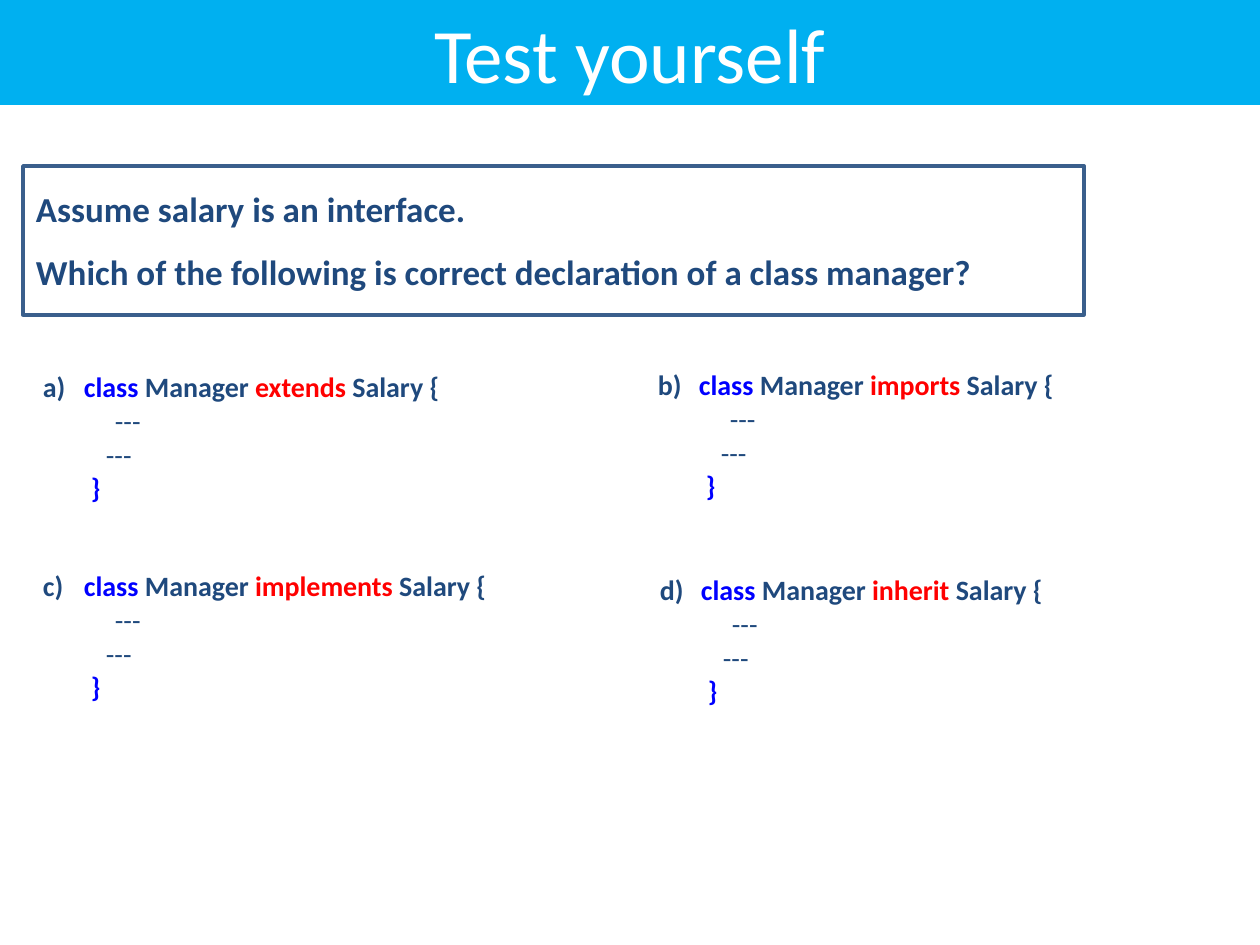
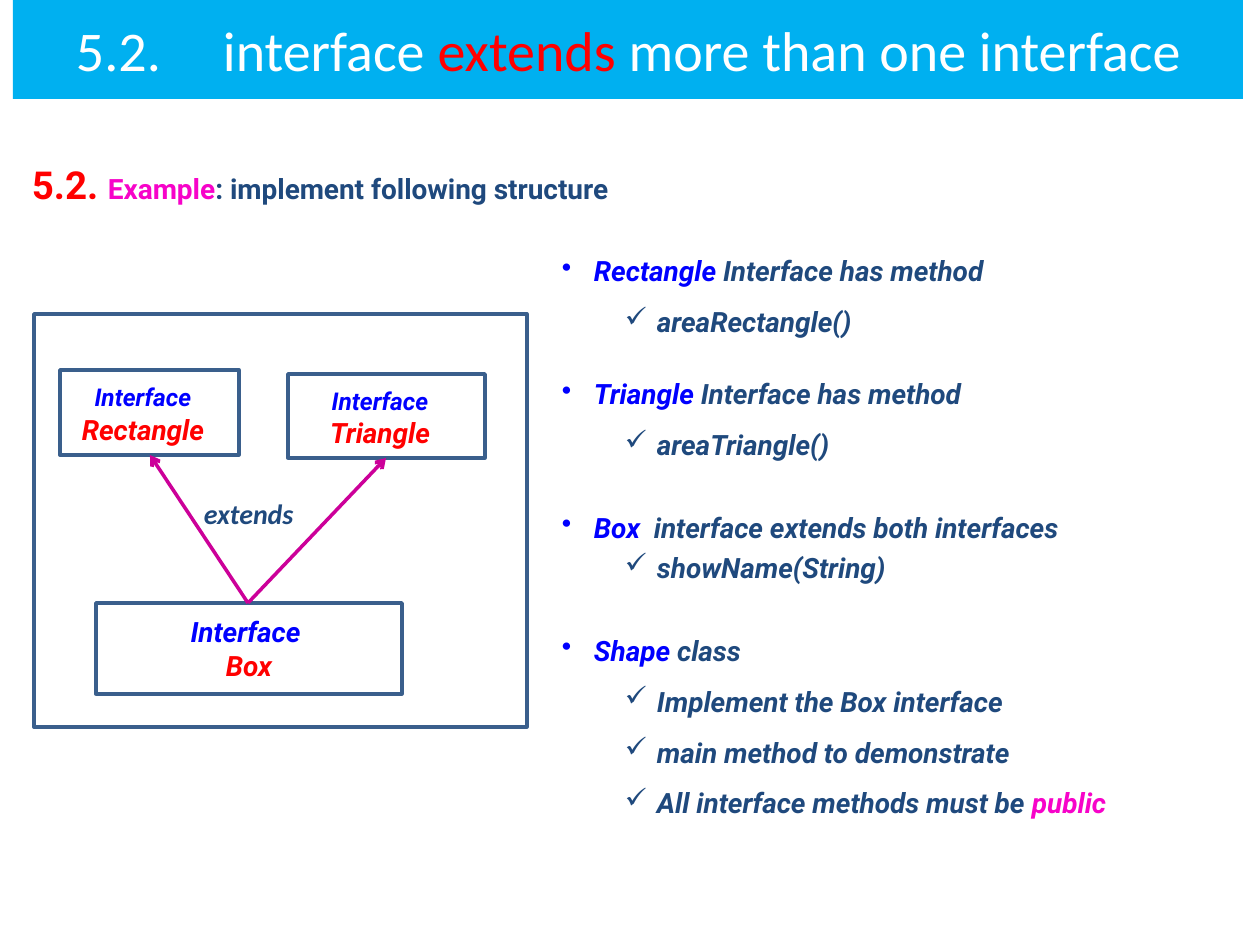
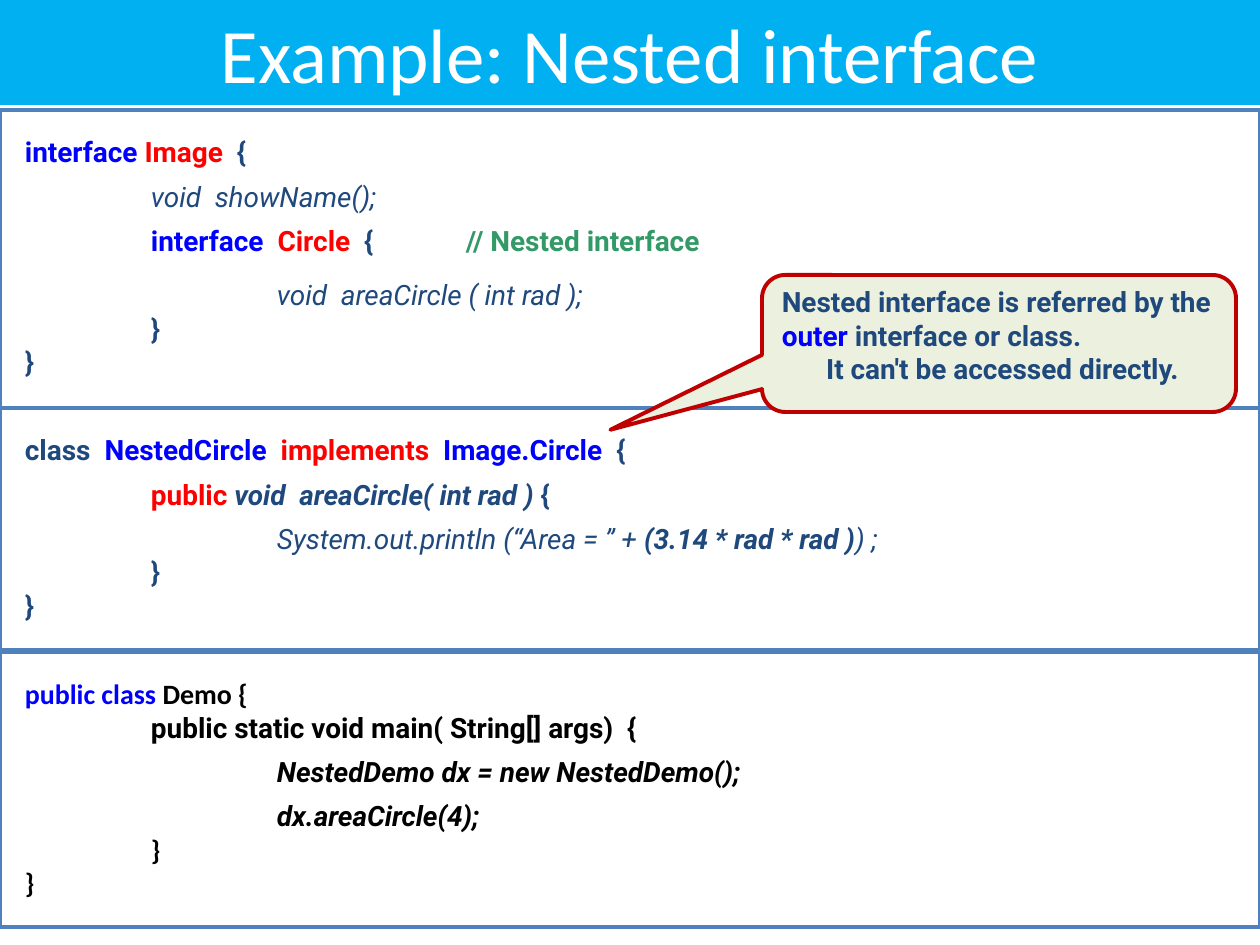
from lxml import etree
from pptx import Presentation
from pptx import util as u
from pptx.dml.color import RGBColor
from pptx.enum import shapes, text
from pptx.oxml.ns import qn

WHITE = RGBColor(0xFF, 0xFF, 0xFF)
BLACK = RGBColor(0, 0, 0)
SKY = RGBColor(0x00, 0xB0, 0xF0)
NAVY = RGBColor(0x1F, 0x49, 0x7D)
BLUE = RGBColor(0, 0, 0xFF)
RED = RGBColor(0xFF, 0, 0)
PINK = RGBColor(0xF7, 0x03, 0xC9)
GREEN = RGBColor(0x33, 0x99, 0x66)
MAGENTA = RGBColor(0xCC, 0x00, 0x99)
BORDER = RGBColor(0x3A, 0x5F, 0x8C)
PANEL_LINE = RGBColor(0x4F, 0x81, 0xBD)
NOTE_FILL = RGBColor(0xEB, 0xF1, 0xDE)
NOTE_LINE = RGBColor(0xC0, 0, 0)

CALIBRI, ROBOTO = "Calibri", "Roboto"
CENTER = text.PP_ALIGN.CENTER
MIDDLE = text.MSO_ANCHOR.MIDDLE
TAB = 126
INSETS = (13, 6, 13, 6)


def px(n):
    """Turn pixels into EMU."""
    return u.Emu(round(n * 914400 / 126))


def add_run(p, words, size=16, font=ROBOTO, color=NAVY, bold=True, italic=False):
    """Add one formatted run to a paragraph."""
    r = p.add_run()
    r.text = words
    f = r.font
    f.size, f.name, f.bold, f.italic = u.Pt(size), font, bold, italic
    f.color.rgb = color


def add_para(tf, *runs, align=None, margin=0, indent=0, before=0, spacing=None,
             bullet=None, **fmt):
    """Add a paragraph; each run is a string or a (string, colour, format) tuple."""
    p = tf.add_paragraph() if tf.text else tf.paragraphs[0]
    p.alignment = align or text.PP_ALIGN.LEFT
    p.space_before = u.Pt(before)
    if spacing:
        p.line_spacing = spacing
    pPr = p._p.get_or_add_pPr()
    pPr.set("marL", str(px(margin)))
    pPr.set("indent", str(px(indent)))
    if bullet:
        etree.SubElement(pPr, qn("a:buChar")).set("char", bullet)
    for run in runs:
        words, color, extra = (run, None, {}) if isinstance(run, str) else (*run, {})[:3]
        style = {**fmt, **extra}
        if color is not None:
            style["color"] = color
        add_run(p, words, **style)


def set_frame(sp, anchor=text.MSO_ANCHOR.TOP, insets=INSETS):
    """Set wrapping, anchor and insets, and return the text frame."""
    tf = sp.text_frame
    tf.word_wrap = True
    tf.auto_size = text.MSO_AUTO_SIZE.NONE
    tf.vertical_anchor = anchor
    tf.margin_left, tf.margin_top, tf.margin_right, tf.margin_bottom = map(px, insets)
    return tf


def add_slide(prs, *runs, at=(0, 0, 1260, 105), size=44, **para):
    """Add a slide with its title band."""
    slide = prs.slides.add_slide(prs.slide_layouts[5])
    sp = slide.shapes.title
    sp.left, sp.top, sp.width, sp.height = map(px, at)
    sp.fill.solid()
    sp.fill.fore_color.rgb = SKY
    add_para(set_frame(sp, MIDDLE), *runs, size=size, font=CALIBRI, color=WHITE,
             bold=False, **para)
    return slide


def add_box(slide, at, line=None, width=2, fill=WHITE,
            kind=shapes.MSO_SHAPE.RECTANGLE):
    """Add a filled shape with an optional outline."""
    sp = slide.shapes.add_shape(kind, *map(px, at))
    sp.shadow.inherit = False
    sp.fill.solid()
    sp.fill.fore_color.rgb = fill
    if line is None:
        sp.line.fill.background()
    else:
        sp.line.color.rgb = line
        sp.line.width = u.Pt(width)
    return sp


def add_textbox(slide, at):
    """Add a text box and return its text frame."""
    return set_frame(slide.shapes.add_textbox(*map(px, at)))


def add_arrow(slide, start, end):
    """Add an arrow between two points."""
    sp = slide.shapes.add_connector(shapes.MSO_CONNECTOR.STRAIGHT,
                                    *map(px, (*start, *end)))
    sp.line.color.rgb = MAGENTA
    sp.line.width = u.Pt(2)
    etree.SubElement(sp.line._get_or_add_ln(), qn("a:tailEnd")).set("type", "arrow")
    etree.SubElement(sp._element.spPr, qn("a:effectLst"))


def add_option(slide, at, letter, keyword):
    """Add one answer: a class declaration using the keyword."""
    tf = set_frame(add_box(slide, at))
    add_para(tf, f"{letter})\t", ("class ", BLUE), "Manager ", (keyword, RED),
             " Salary {", margin=41, indent=-41, font=CALIBRI)
    for margin in (72, 63):
        add_para(tf, "---", margin=margin, font=CALIBRI, bold=False)
    add_para(tf, "}", margin=48, font=CALIBRI, color=BLUE)


def add_interface(slide, at, name, size=14, insets=(0, 6, 13, 6)):
    """Add a diagram box naming an interface."""
    tf = set_frame(add_box(slide, at, BORDER), MIDDLE, insets)
    add_para(tf, ("Interface", BLUE, {"size": size}), " ", (name, RED),
             align=CENTER, italic=True)


def add_panel(slide, top, height, *lines):
    """Add a full-width code panel; a line is (depth, space before, runs, format)."""
    sp = add_box(slide, (0, top, 1260, height), PANEL_LINE, 2.25)
    tf = set_frame(sp, insets=(25, 25, 25, 25))
    for depth, before, runs, fmt in lines:
        add_para(tf, *runs, margin=depth * TAB, before=before, **fmt)


def build_quiz(prs):
    """Build the question slide."""
    slide = add_slide(prs, "Test yourself", align=CENTER)
    tf = set_frame(add_box(slide, (23, 166, 1061, 149), BORDER), MIDDLE)
    add_para(tf, "Assume salary is an interface.", size=20, font=CALIBRI)
    add_para(tf, "Which of the following is correct declaration of a class manager?",
             size=20, font=CALIBRI, before=12)
    for left, top, letter, keyword in ((30, 364, "a", "extends"),
                                       (645, 362, "b", "imports"),
                                       (30, 563, "c", "implements"),
                                       (647, 567, "d", "inherit")):
        add_option(slide, (left, top, 544, 149), letter, keyword)


def build_extends(prs):
    """Build the slide on extending two interfaces."""
    slide = add_slide(prs, "5.2.\tinterface ", ("extends", RED),
                      " more than one interface", at=(13, 0, 1230, 99), size=32,
                      margin=197, indent=-147)
    add_para(add_textbox(slide, (19, 160, 1145, 86)), ("5.2. ", RED, {"size": 22}),
             ("Example", PINK), ": implement following structure", spacing=0.9)

    tf = add_textbox(slide, (549, 251, 659, 562))
    topics = (
        (0.9, 0, ("Rectangle", " Interface has method"), 0.9, 12,
         [["areaRectangle()"]]),
        (0.9, 24, ("Triangle", " Interface has method"), 0.9, 12,
         [["areaTriangle()"]]),
        (1.2, 24, ("Box ", " interface extends both interfaces"), 0.9, 6,
         [["showName(String)"]]),
        (1.2, 24, ("Shape ", "class"), 1.2, 6,
         [["Implement the Box interface"], ["main method to demonstrate"],
          ["All interface methods must be ", ("public", PINK)]]),
    )
    for spacing, before, (name, rest), sub_spacing, sub_before, items in topics:
        add_para(tf, (name, BLUE), rest, margin=32, indent=-32, spacing=spacing,
                 before=before, bullet="•", italic=True)
        for runs in items:
            add_para(tf, *runs, margin=95, indent=-32, spacing=sub_spacing,
                     before=sub_before, bullet="✓", italic=True)

    add_box(slide, (34, 314, 493, 413), BORDER)
    add_interface(slide, (60, 370, 179, 85), "Rectangle")
    add_interface(slide, (288, 374, 197, 84), "Triangle")
    tf = set_frame(add_box(slide, (96, 603, 306, 91), BORDER), MIDDLE, (6, 6, 6, 6))
    add_para(tf, "Interface ", align=CENTER, color=BLUE, italic=True)
    add_para(tf, "Box", align=CENTER, color=RED, italic=True)
    for tip in ((150, 455), (386, 458)):
        add_arrow(slide, (248, 603), tip)
    add_para(add_textbox(slide, (191, 491, 156, 59)), "extends", font=CALIBRI,
             italic=True)


def build_nested(prs):
    """Build the nested interface slide."""
    slide = add_slide(prs, "Example: Nested interface", align=CENTER)
    plain = {"bold": False, "italic": True}
    slanted = {"italic": True}
    black = {"color": BLACK}
    calibri = {"color": BLACK, "font": CALIBRI}
    add_panel(
        slide, 110, 298,
        (0, 0, [("interface ", BLUE), ("Image  ", RED), "{"], {}),
        (1, 6, ["void  showName();"], plain),
        (1, 6, [("interface  ", BLUE), ("Circle  ", RED), "{\t\t",
                ("// Nested interface", GREEN)], {}),
        (2, 12, ["void  areaCircle ( int rad );"], plain),
        (1, 0, ["}"], {}),
        (0, 0, ["}"], {}))
    add_panel(
        slide, 408, 242,
        (0, 0, ["class", ("  NestedCircle", BLUE), ("  implements  ", RED),
                ("Image.Circle  ", BLUE), "{"], {}),
        (1, 6, [("public ", RED), ("void  areaCircle( int rad ) ", NAVY, slanted),
                "{"], {}),
        (2, 6, ["System.out.println (“Area = ” + ",
                ("(3.14 * rad * rad )", NAVY, {"bold": True}), ") ;"], plain),
        (1, 0, ["}"], {}),
        (0, 0, ["}"], {}))
    add_panel(
        slide, 652, 275,
        (0, 0, [("public class", BLUE), " Demo {"], calibri),
        (1, 0, ["public static void main( String[] args)  {"], black),
        (2, 6, ["NestedDemo dx = new NestedDemo();"], {**black, **slanted}),
        (2, 6, ["dx.areaCircle(4);"], {**black, **slanted}),
        (1, 0, ["}"], calibri),
        (0, 0, ["}"], calibri))

    note = add_box(slide, (762, 275, 474, 137), NOTE_LINE, 2.25, NOTE_FILL,
                   shapes.MSO_SHAPE.ROUNDED_RECTANGULAR_CALLOUT)
    for i, value in enumerate((-0.82, 0.63, 0.17)):
        note.adjustments[i] = value
    tf = set_frame(note, insets=(13, 3, 6, 6))
    add_para(tf, "Nested interface is referred by the ", ("outer ", BLUE),
             "interface or class.")
    add_para(tf, "It can't be accessed directly.", align=CENTER)


def main():
    """Build and save the presentation."""
    prs = Presentation()
    prs.slide_width, prs.slide_height = px(1260), px(945)
    build_quiz(prs)
    build_extends(prs)
    build_nested(prs)
    prs.save("out.pptx")


if __name__ == "__main__":
    main()
